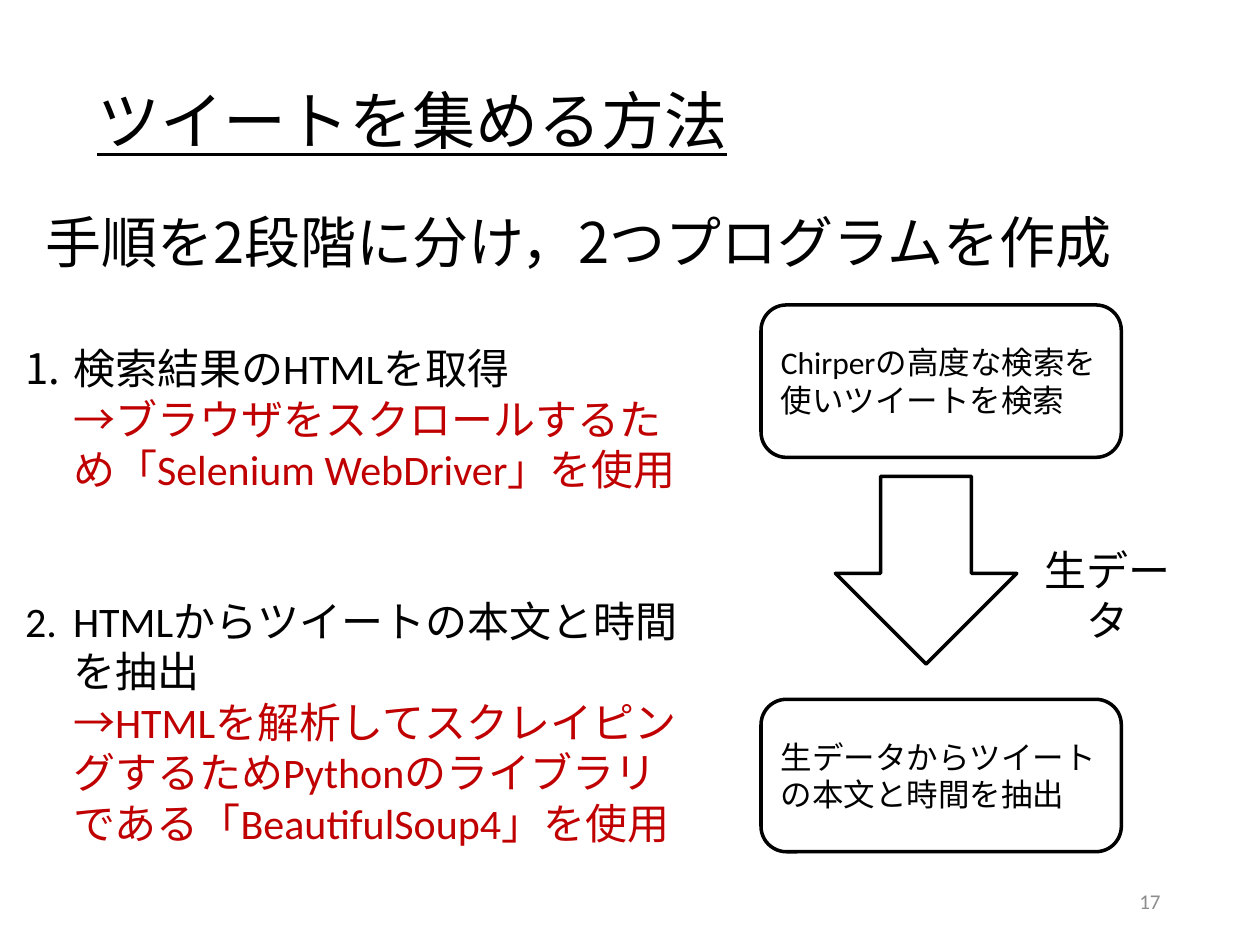
from lxml import etree
from pptx import Presentation
from pptx.dml.color import RGBColor
from pptx.enum import shapes, text
from pptx.oxml.ns import qn
from pptx.util import Inches, Pt

COLORS = {"ink": "000000", "accent": "C00000", "number": "8C8C8C"}
LATIN, JAPANESE = "Calibri", "Noto Sans CJK JP"
ALIGN = text.PP_ALIGN


def write(shape, wording, size, font=LATIN, color="ink", align=ALIGN.LEFT,
          anchor=text.MSO_ANCHOR.TOP):
    """Fill a shape with one formatted paragraph and return its first run."""
    frame = shape.text_frame
    frame.text = wording
    frame.word_wrap = True
    frame.auto_size = text.MSO_AUTO_SIZE.NONE
    frame.vertical_anchor = anchor
    frame.paragraphs[0].alignment = align
    run = frame.paragraphs[0].runs[0]
    style(run, size, font, color)
    return run


def style(target, size, font=LATIN, color="ink"):
    target.font.size = Pt(size)
    target.font.name = font
    target.font.color.rgb = RGBColor.from_string(COLORS[color])


prs = Presentation()
prs.slide_width, prs.slide_height = Inches(10), Inches(7.5)
slide = prs.slides.add_slide(prs.slide_layouts[1])

# Heading and lead sentence
title, steps = slide.placeholders
title.left, title.top = Inches(0.67), Inches(0.6)
title.width, title.height = Inches(5.37), Inches(0.71)
write(title, "ツイートを集める方法", 36, JAPANESE).font.underline = True

lead = slide.shapes.add_textbox(Inches(0.26), Inches(1.6), Inches(9.6), Inches(0.64))
write(lead, "手順を2段階に分け，2つプログラムを作成", 32, JAPANESE)

# Numbered steps, each with the tool it uses on a new line
steps.left, steps.top = Inches(0.1), Inches(2.67)
steps.width, steps.height = Inches(5.47), Inches(4.95)
steps.text_frame.text = (
    "検索結果のHTMLを取得\v"
    "→ブラウザをスクロールするため「Selenium WebDriver」を使用\n"
    "HTMLからツイートの本文と時間を抽出\v"
    "→HTMLを解析してスクレイピングするためPythonのライブラリである「BeautifulSoup4」を使用"
)
steps.text_frame.auto_size = text.MSO_AUTO_SIZE.NONE
for step, gap in zip(steps.text_frame.paragraphs, (0, 58)):
    step.space_before = Pt(gap)
    for run, color in zip(step.runs, ("ink", "accent")):
        style(run, 24, color=color)
    props = step._p.get_or_add_pPr()
    props.set("marL", str(Inches(0.38)))
    props.set("indent", str(-Inches(0.38)))
    etree.SubElement(props, qn("a:buFont"), typeface="+mj-lt")
    etree.SubElement(props, qn("a:buAutoNum"), type="arabicPeriod")

# Flow: search, raw data, extraction
FLOW = [
    (shapes.MSO_SHAPE.ROUNDED_RECTANGLE, 6.04, 2.42, 2.86, 1.21,
     "Chirperの高度な検索を使いツイートを検索"),
    (shapes.MSO_SHAPE.DOWN_ARROW, 6.63, 3.78, 1.44, 1.49, None),
    (shapes.MSO_SHAPE.ROUNDED_RECTANGLE, 6.04, 5.55, 2.86, 1.21,
     "生データからツイートの本文と時間を抽出"),
]
for kind, left, top, width, height, wording in FLOW:
    stage = slide.shapes.add_shape(
        kind, Inches(left), Inches(top), Inches(width), Inches(height))
    stage.shadow.inherit = False
    stage.fill.background()
    stage.line.color.rgb = RGBColor.from_string(COLORS["ink"])
    stage.line.width = Pt(2)
    if wording:
        write(stage, wording, 18, anchor=text.MSO_ANCHOR.MIDDLE)

raw_data = slide.shapes.add_textbox(Inches(8.07), Inches(4.27), Inches(1.44), Inches(0.5))
write(raw_data, "生データ", 24, align=ALIGN.CENTER)

page_number = slide.shapes.add_textbox(Inches(7.06), Inches(6.95), Inches(2.25), Inches(0.4))
write(page_number, "17", 12, color="number", align=ALIGN.RIGHT,
      anchor=text.MSO_ANCHOR.MIDDLE)

prs.save("out.pptx")
